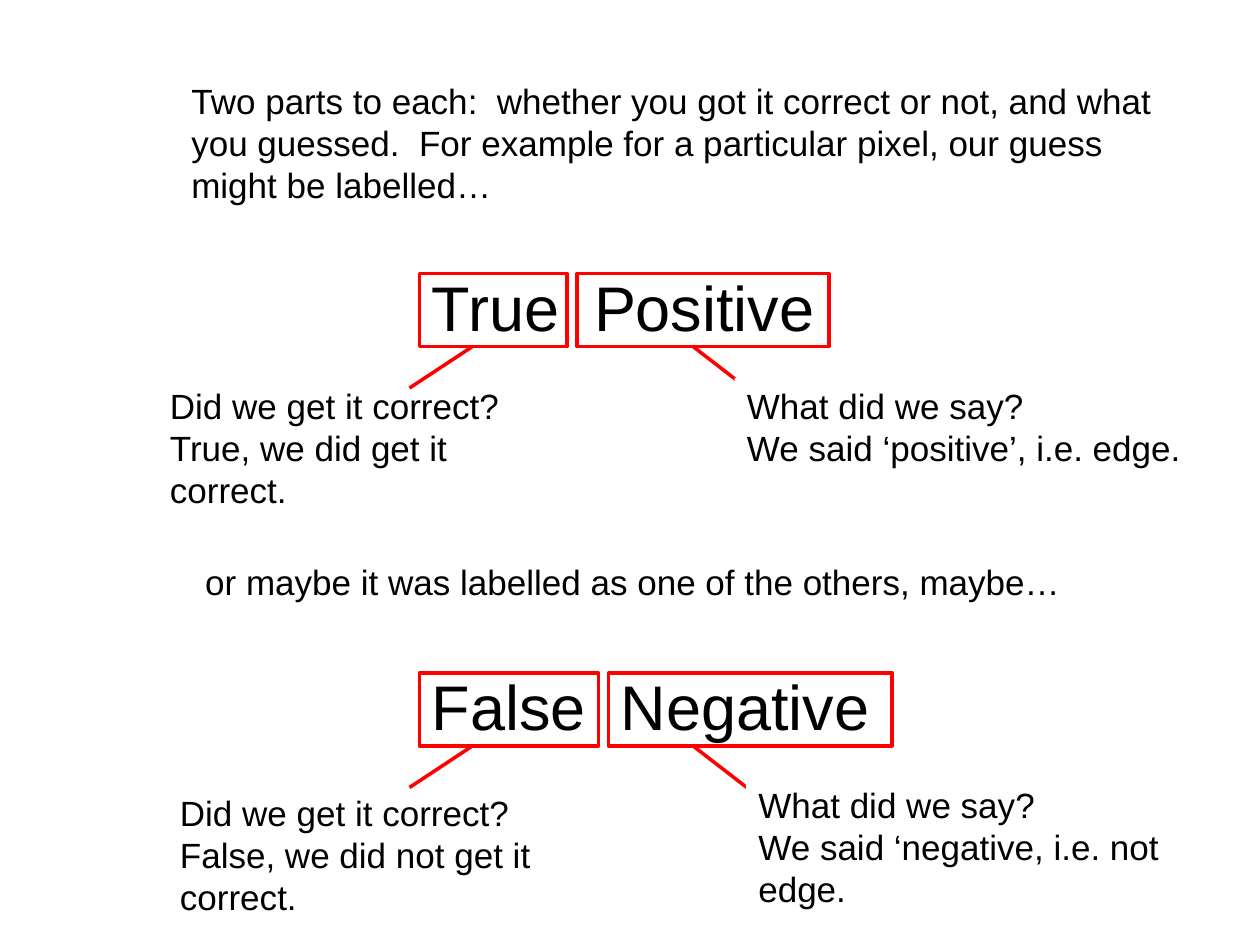
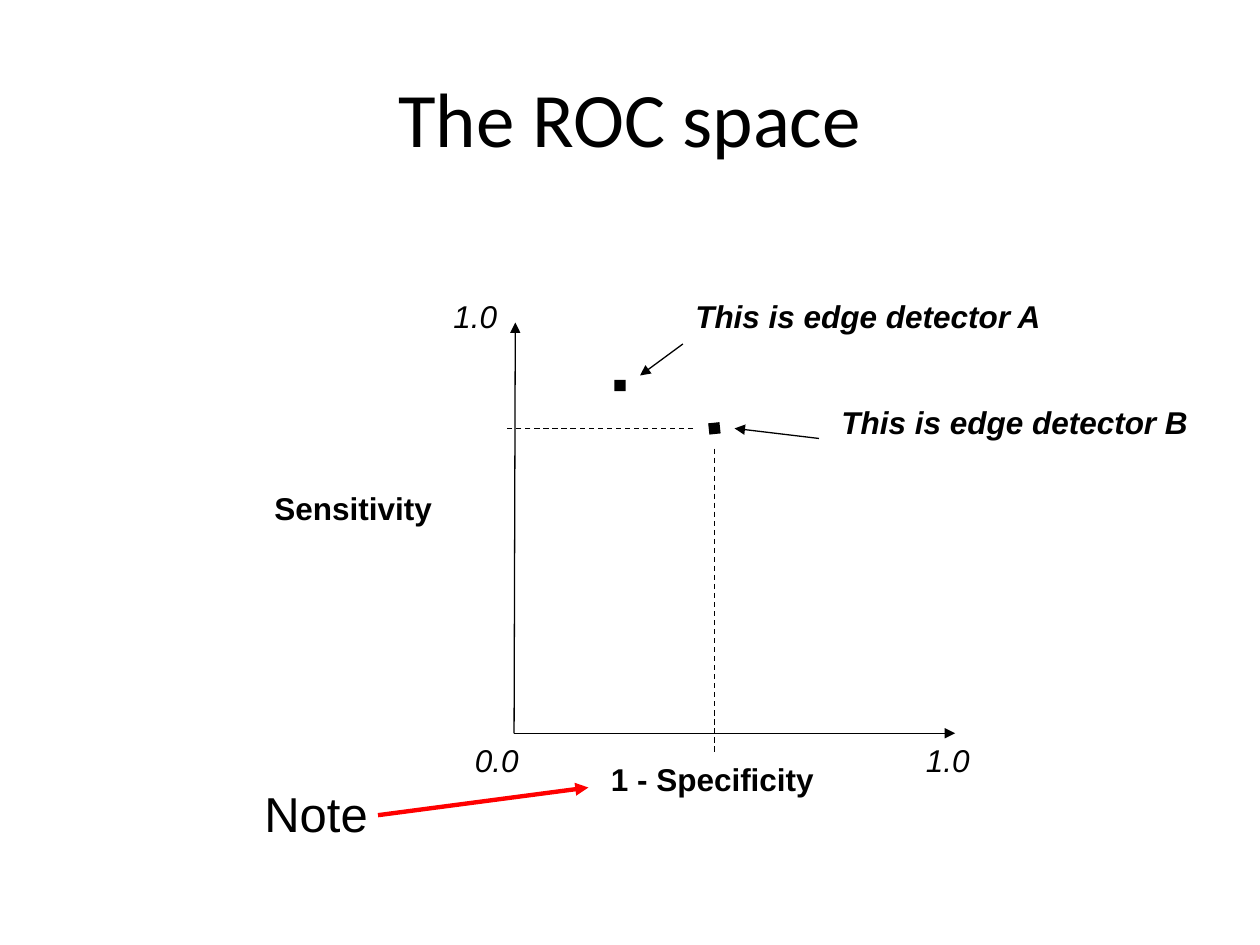
from lxml.etree import SubElement
from pptx import Presentation
from pptx.dml.color import RGBColor
from pptx.enum.dml import MSO_LINE
from pptx.enum.shapes import MSO_CONNECTOR, MSO_SHAPE
from pptx.enum.text import MSO_ANCHOR, PP_ALIGN
from pptx.oxml.ns import qn
from pptx.util import Inches, Pt

BLACK, RED, WHITE = (RGBColor.from_string(c) for c in ("000000", "FF0000", "FFFFFF"))


def add_text(slide, box, lines, size, bold=False, italic=False, font="Arial", wrap=True, fill=None):
    """Add a text box whose lines are separated by line breaks."""
    label = slide.shapes.add_textbox(*map(Inches, box))
    if fill is not None:
        label.fill.solid()
        label.fill.fore_color.rgb = fill
    label.text_frame.word_wrap = wrap
    paragraph = label.text_frame.paragraphs[0]
    for number, line in enumerate(lines):
        if number:
            paragraph.add_line_break()
        run = paragraph.add_run()
        run.text = line
        run.font.name, run.font.size = font, Pt(size)
        run.font.bold, run.font.italic = bold, italic
        run.font.color.rgb = BLACK
    return label


def add_line(slide, start, end, color=BLACK, width=0.75, arrow=False, dashed=False):
    line = slide.shapes.add_connector(MSO_CONNECTOR.STRAIGHT, *map(Inches, start + end))
    line.line.color.rgb = color
    line.line.width = Pt(width)
    if dashed:
        line.line.dash_style = MSO_LINE.DASH
    if arrow:
        SubElement(line.line._get_or_add_ln(), qn("a:tailEnd"), type="triangle")
    SubElement(line._element.spPr, qn("a:effectLst"))


prs = Presentation()
prs.slide_width, prs.slide_height = Inches(10), Inches(7.5)
blank = prs.slide_layouts[6]

# Slide 1: how a label is made of two parts
labels = prs.slides.add_slide(blank)
add_text(labels, (1.42, 0.58, 8.17, 1.1),
         ["Two parts to each:  whether you got it correct or not, and what you guessed.  "
          "For example for a particular pixel, our guess might be labelled…"], 20)
add_text(labels, (1.53, 4.4, 6.99, 0.44),
         ["or maybe it was labelled as one of the others, maybe…"], 20, wrap=False)

# Top of the term, term, (left, width) of each frame, then box and reply of both answers
examples = [
    (2.08, "True  Positive", [(3.33, 1.17), (4.58, 2)],
     (1.25, 3, 3.25, 1.1), "True, we did get it correct.",
     (5.83, 3, 4, 0.77), "We said ‘positive’, i.e. edge."),
    (5.25, "False  Negative", [(3.33, 1.42), (4.83, 2.25)],
     (1.33, 6.23, 3.83, 1.1), "False, we did not get it correct.",
     (5.92, 6.17, 4.08, 1.1), "We said ‘negative, i.e. not edge."),
]
for top, term, frames, correct_box, correct, guess_box, guess in examples:
    add_text(labels, (3.33, top, 4.75, 0.7), [term], 36)
    for left, width in frames:
        frame = labels.shapes.add_shape(
            MSO_SHAPE.RECTANGLE, *map(Inches, (left, top + 0.09, width, 0.58)))
        frame.shadow.inherit = False
        frame.fill.background()
        frame.line.color.rgb = RED
        frame.line.width = Pt(2)
    frame_bottom = top + 0.67
    add_line(labels, (3.75, frame_bottom), (3.25, frame_bottom + 0.33), RED, 2)
    add_line(labels, (5.5, frame_bottom), (6.25, frame_bottom + 0.58), RED, 2)
    add_text(labels, correct_box, ["Did we get it correct?", correct], 20)
    # The white fill hides the end of the line that leads here
    add_text(labels, guess_box, ["What did we say?", guess], 20, fill=WHITE)

# Slide 2: the ROC space
roc = prs.slides.add_slide(blank)
title = add_text(roc, (0.5, 0.3, 9, 1.25), ["The ROC space"], 44, font="Calibri")
title.text_frame.vertical_anchor = MSO_ANCHOR.MIDDLE
title.text_frame.paragraphs[0].alignment = PP_ALIGN.CENTER

origin = (4.08, 5.82)
for axis_end in [(4.09, 2.56), (7.58, 5.82)]:
    add_line(roc, origin, axis_end, arrow=True)
add_text(roc, (4.75, 5.98, 2.67, 0.4), ["1 - Specificity"], 18, bold=True)
add_text(roc, (2.08, 3.83, 1.92, 0.4), ["Sensitivity"], 18, bold=True)
for left, top, value in [(3.5, 2.31, "1.0"), (3.67, 5.83, "0.0"), (7.25, 5.83, "1.0")]:
    add_text(roc, (left, top, 0.55, 0.4), [value], 18, italic=True, wrap=False)

# Name, point, tilt of the point, place of the name, start and end of the arrow
detectors = [
    ("A", (4.92, 3.06), 0, (5.42, 2.31), (5.42, 2.73), (5.08, 2.98)),
    ("B", (5.67, 3.4), -6, (6.58, 3.15), (6.5, 3.48), (5.83, 3.4)),
]
side = 0.09
for name, (x, y), tilt, place, arrow_start, arrow_end in detectors:
    point = roc.shapes.add_shape(
        MSO_SHAPE.RECTANGLE, *map(Inches, (x - side / 2, y - side / 2, side, side)))
    point.shadow.inherit = False
    point.fill.solid()
    point.fill.fore_color.rgb = BLACK
    point.line.fill.background()
    point.rotation = tilt
    add_text(roc, place + (3.08, 0.4), [f"This is edge detector {name}"], 18, bold=True, italic=True)
    add_line(roc, arrow_start, arrow_end, arrow=True)

add_line(roc, (5.67, 3.56), (5.67, 5.98), dashed=True)
add_line(roc, (5.5, 3.4), (4, 3.4), dashed=True)

add_line(roc, (3, 6.47), (4.67, 6.25), RED, 2.5, arrow=True)
add_text(roc, (2, 6.17, 1.58, 0.57), ["Note"], 28)

prs.save("out.pptx")
